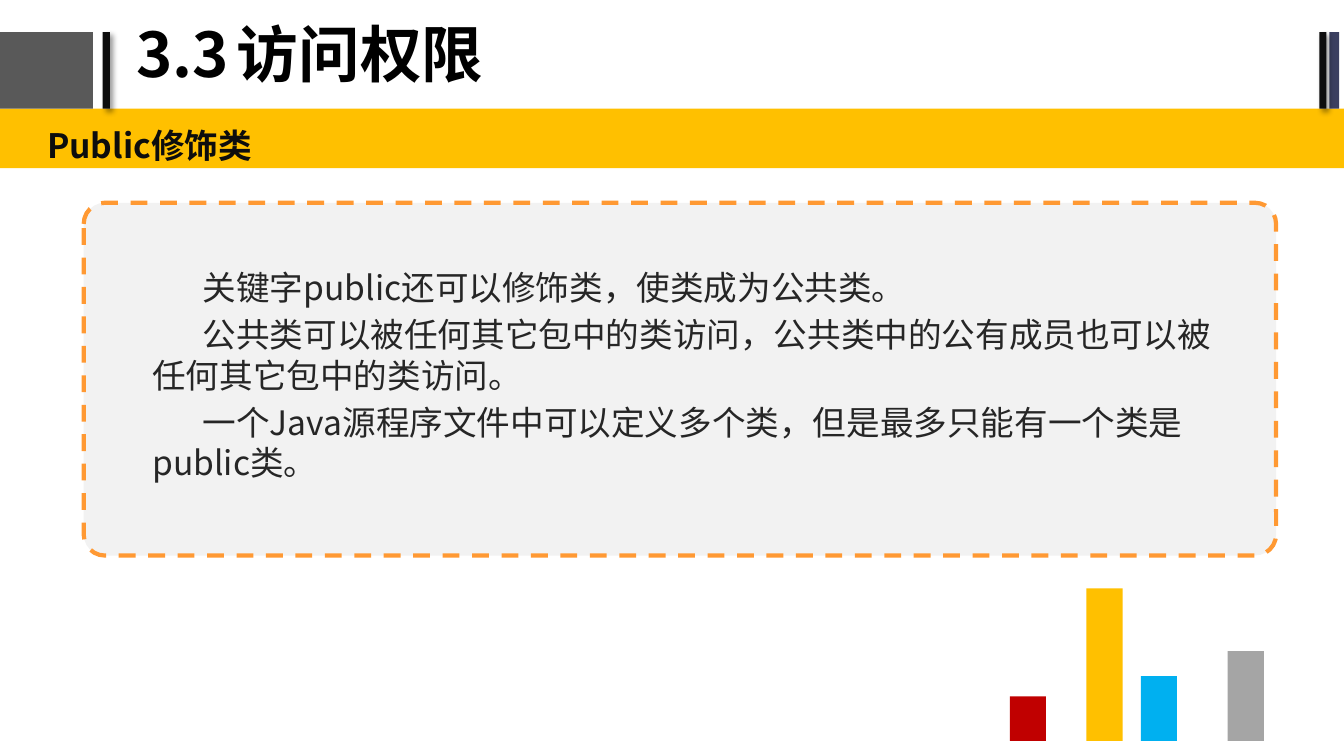
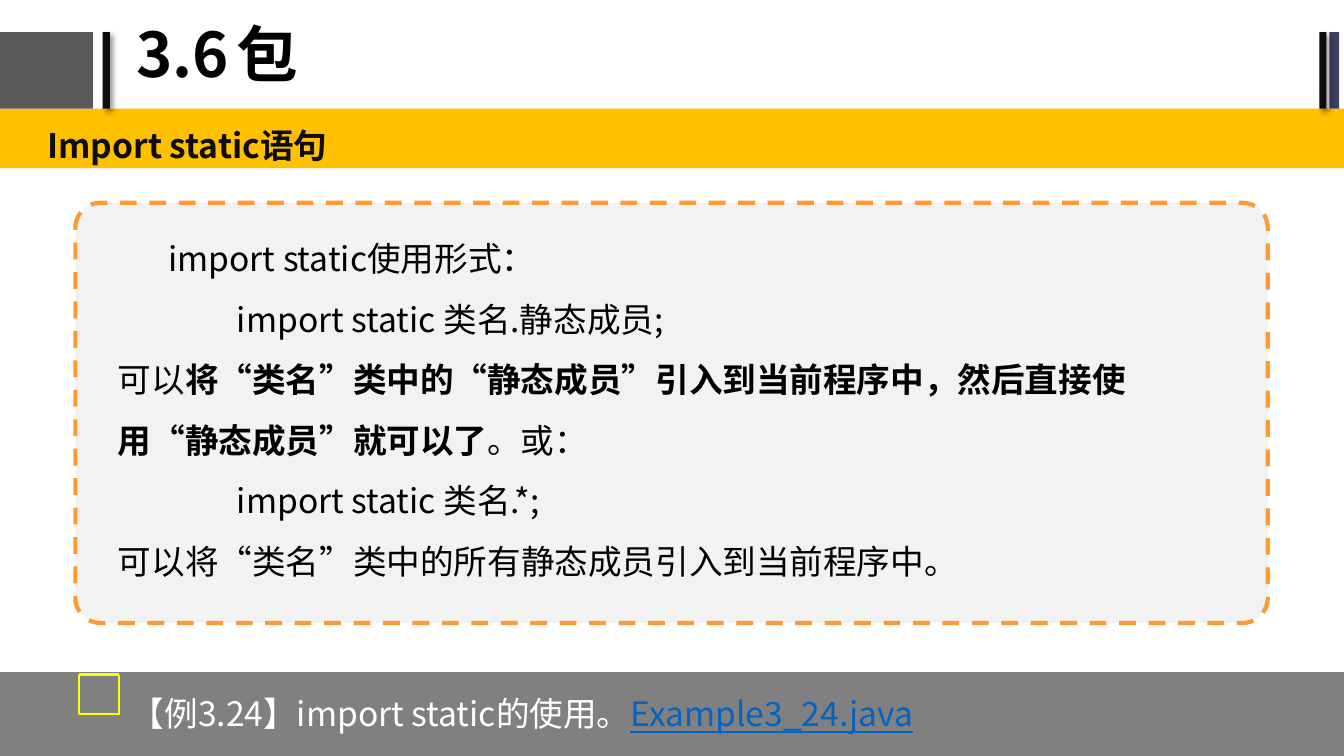
from dataclasses import dataclass
from math import cos, radians, sin

from lxml import etree
from pptx import Presentation
from pptx.dml.color import RGBColor
from pptx.enum.dml import MSO_LINE
from pptx.enum.shapes import MSO_SHAPE
from pptx.enum.text import MSO_ANCHOR, MSO_AUTO_SIZE, PP_ALIGN
from pptx.oxml.ns import qn
from pptx.util import Cm, Pt

RECT, ROUND = MSO_SHAPE.RECTANGLE, MSO_SHAPE.ROUNDED_RECTANGLE
TOP, MIDDLE = MSO_ANCHOR.TOP, MSO_ANCHOR.MIDDLE
LEFT, NO_FIT, DASH = PP_ALIGN.LEFT, MSO_AUTO_SIZE.NONE, MSO_LINE.DASH


@dataclass(frozen=True)
class Theme:
    font: str = "Noto Sans CJK SC"
    title_size: int = 44
    text_size: int = 24
    black: str = "000000"
    ink: str = "0D0D0D"
    soft: str = "262626"
    white: str = "FFFFFF"
    dark: str = "595959"
    navy: str = "3B3F60"
    amber: str = "FFC000"
    panel: str = "F2F2F2"
    dash: str = "FF9933"
    footer: str = "808080"
    link: str = "0563C1"
    icon: str = "FFFF00"
    silver: str = "A5A5A5"
    sky: str = "00B0F0"
    red: str = "C00000"


T = Theme()
WIDTH, HEIGHT = 33.87, 19.05
TITLE_BOX = (3.18, 0.05, 21.51, 2.79)
TITLE_TAB = 3.4
BAND_BOX = (0, 2.74, WIDTH, 1.5)
SUBTITLE_BOX = (0.86, 2.77, 33, 1.47)
BAR_TOP, BAR_HEIGHT = 0.81, 1.93
TITLE_BARS = [
    (-0.05, 2.39, T.dark, False),
    (2.59, 0.18, T.ink, True),
    (33.5, 0.25, T.navy, False),
    (33.25, 0.18, T.ink, True),
]

COLUMN_BASE, COLUMN_WIDTH = 18.67, 0.91
COLUMNS = [
    (25.45, 1.12, T.red),
    (27.38, 3.84, T.amber),
    (28.75, 1.63, T.sky),
    (30.94, 2.26, T.silver),
]
FOOTER_BOX = (0, 16.94, WIDTH, 2.11)
EXAMPLE_BOX = (2.97, 17.09, 28.98, 1.9)
EXAMPLE = [
    ("【例3.24】import static的使用。", {}),
    ("Example3_24.java", {"color": T.link, "underline": True}),
]

SLIDES = [
    {
        "title": "3.3\t访问权限",
        "subtitle": "Public修饰类",
        "panel": (2.11, 5.11, 30.05, 8.89),
        "body": (3.51, 6.55, 27.53, 6.15),
        "format": {"color": T.soft, "before": 5},
        "paragraphs": [
            (1.27, "关键字public还可以修饰类，使类成为公共类。"),
            (1.27, "公共类可以被任何其它包中的类访问，公共类中的公有成员也可以被任何其它包中的类访问。"),
            (1.27, "一个Java源程序文件中可以定义多个类，但是最多只能有一个类是public类。"),
        ],
        "columns": COLUMNS,
    },
    {
        "title": "3.6\t包",
        "subtitle": "Import static语句",
        "panel": (1.9, 5.11, 30.05, 10.59),
        "body": (2.64, 5.31, 27.94, 10.36),
        "format": {"color": T.black, "spacing": 1.5},
        "paragraphs": [
            (1.27, "import static使用形式："),
            (3, "import static 类名.静态成员;"),
            (0, [
                ("可以", {}),
                ("将“类名”类中的“静态成员”引入到当前程序中，然后直接使用“静态成员”就可以了", {"bold": True}),
                ("。或：", {}),
            ]),
            (3, "import static 类名.*;"),
            (0, "可以将“类名”类中的所有静态成员引入到当前程序中。"),
        ],
        "example": EXAMPLE,
    },
]


def rgb(color):
    return RGBColor.from_string(color)


def place(sp, box):
    sp.left, sp.top, sp.width, sp.height = map(Cm, box)


def add_box(slide, box, fill, kind=RECT):
    sp = slide.shapes.add_shape(kind, *map(Cm, box))
    sp.shadow.inherit = False
    sp.fill.solid()
    sp.fill.fore_color.rgb = rgb(fill)
    sp.line.fill.background()
    return sp


def add_shadow(sp):
    effects = sp.element.spPr.find(qn("a:effectLst"))
    shadow = etree.SubElement(effects, qn("a:outerShdw"), blurRad=str(Pt(4)),
                              dist=str(Pt(3)), dir="2700000", algn="tl")
    color = etree.SubElement(shadow, qn("a:srgbClr"), val=T.black)
    etree.SubElement(color, qn("a:alpha"), val="40000")


def write(sp, paragraphs, color=T.black, size=T.text_size, bold=False, spacing=1.0,
          before=0, anchor=TOP, inset=(0.33, 0.18), tab=None):
    tf = sp.text_frame
    tf.word_wrap = True
    tf.auto_size = NO_FIT
    tf.vertical_anchor = anchor
    tf.margin_left = tf.margin_right = Cm(inset[0])
    tf.margin_top = tf.margin_bottom = Cm(inset[1])
    for i, (indent, content) in enumerate(paragraphs):
        p = tf.paragraphs[0] if i == 0 else tf.add_paragraph()
        pPr = p._p.get_or_add_pPr()
        pPr.set("marL", "0")
        pPr.set("indent", str(Cm(indent)))
        etree.SubElement(pPr, qn("a:buNone"))
        if tab:
            tabs = etree.SubElement(pPr, qn("a:tabLst"))
            etree.SubElement(tabs, qn("a:tab"), pos=str(Cm(tab)), algn="l")
        p.alignment = LEFT
        p.line_spacing = spacing
        p.space_before = Pt(before if i else 0)
        runs = [(content, {})] if isinstance(content, str) else content
        for text, style in runs:
            r = p.add_run()
            r.text = text
            r.font.name = T.font
            r.font.size = Pt(size)
            r.font.bold = style.get("bold", bold)
            r.font.underline = style.get("underline", False)
            r.font.color.rgb = rgb(style.get("color", color))
            ea = etree.Element(qn("a:ea"), typeface=T.font)
            r.font._element.find(qn("a:latin")).addnext(ea)


def add_text(slide, box, content, **fmt):
    sp = slide.shapes.add_textbox(*map(Cm, box))
    write(sp, [(0, content)], **fmt)


def arc(x, y, radius, start, end, steps=16):
    angles = [radians(start + (end - start) * i / steps) for i in range(steps + 1)]
    return [(x + radius * cos(a), y + radius * sin(a)) for a in angles]


def add_outline(slide, points, width, close=False):
    pen = slide.shapes.build_freeform(*points[0], scale=Cm(1))
    pen.add_line_segments(points[1:], close=close)
    sp = pen.convert_to_shape()
    sp.shadow.inherit = False
    sp.fill.background()
    sp.line.color.rgb = rgb(T.icon)
    sp.line.width = Pt(width)


def add_lock(slide):
    body = [(2.13, 17.42), (3.07, 17.42), (3.07, 18.34), (2.13, 18.34)]
    outer = [(2.83, 17.42), *arc(2.69, 17.27, 0.14, 0, -90), (2.48, 17.13)]
    inner = [(2.75, 17.42), *arc(2.67, 17.29, 0.08, 0, -90), (2.54, 17.21)]
    bulb = arc(2.64, 17.83, 0.16, 120, 420) + arc(2.64, 18.02, 0.08, 0, 180)
    add_outline(slide, body, 1.5, close=True)
    add_outline(slide, outer, 2)
    add_outline(slide, inner, 1)
    add_outline(slide, bulb, 1, close=True)


def set_up_layout(layout, slide):
    for sp in list(layout.placeholders):
        if sp.placeholder_format.idx > 1:
            sp.element.getparent().remove(sp.element)
    place(layout.placeholders[0], TITLE_BOX)
    shared = [add_box(slide, BAND_BOX, T.amber)]
    for left, width, color, shadowed in TITLE_BARS:
        sp = add_box(slide, (left, BAR_TOP, width, BAR_HEIGHT), color)
        if shadowed:
            add_shadow(sp)
        shared.append(sp)
    for sp in shared:
        layout.shapes.element.append(sp.element)


def add_panel(slide, box):
    sp = add_box(slide, box, T.panel, ROUND)
    sp.adjustments[0] = 0.06
    sp.line.color.rgb = rgb(T.dash)
    sp.line.width = Pt(3)
    sp.line.dash_style = DASH
    slide.shapes.element.insert(2, sp.element)


def fill_slide(slide, data):
    write(slide.shapes.title, [(0, data["title"])], size=T.title_size, bold=True,
          spacing=0.9, anchor=MIDDLE, inset=(0.25, 0.13), tab=TITLE_TAB)
    add_panel(slide, data["panel"])
    body = slide.placeholders[1]
    place(body, data["body"])
    write(body, data["paragraphs"], **data["format"])
    add_text(slide, SUBTITLE_BOX, data["subtitle"], color=T.ink, bold=True, spacing=1.2)
    for left, height, color in data.get("columns", []):
        add_box(slide, (left, COLUMN_BASE - height, COLUMN_WIDTH, height), color)
    if "example" in data:
        add_box(slide, FOOTER_BOX, T.footer)
        add_lock(slide)
        add_text(slide, EXAMPLE_BOX, data["example"], color=T.white, spacing=1.2)


def main():
    prs = Presentation()
    prs.slide_width, prs.slide_height = Cm(WIDTH), Cm(HEIGHT)
    layout = prs.slide_layouts[1]
    slides = [prs.slides.add_slide(layout) for _ in SLIDES]
    set_up_layout(layout, slides[0])
    for slide, data in zip(slides, SLIDES):
        fill_slide(slide, data)
    prs.save("out.pptx")


if __name__ == "__main__":
    main()
